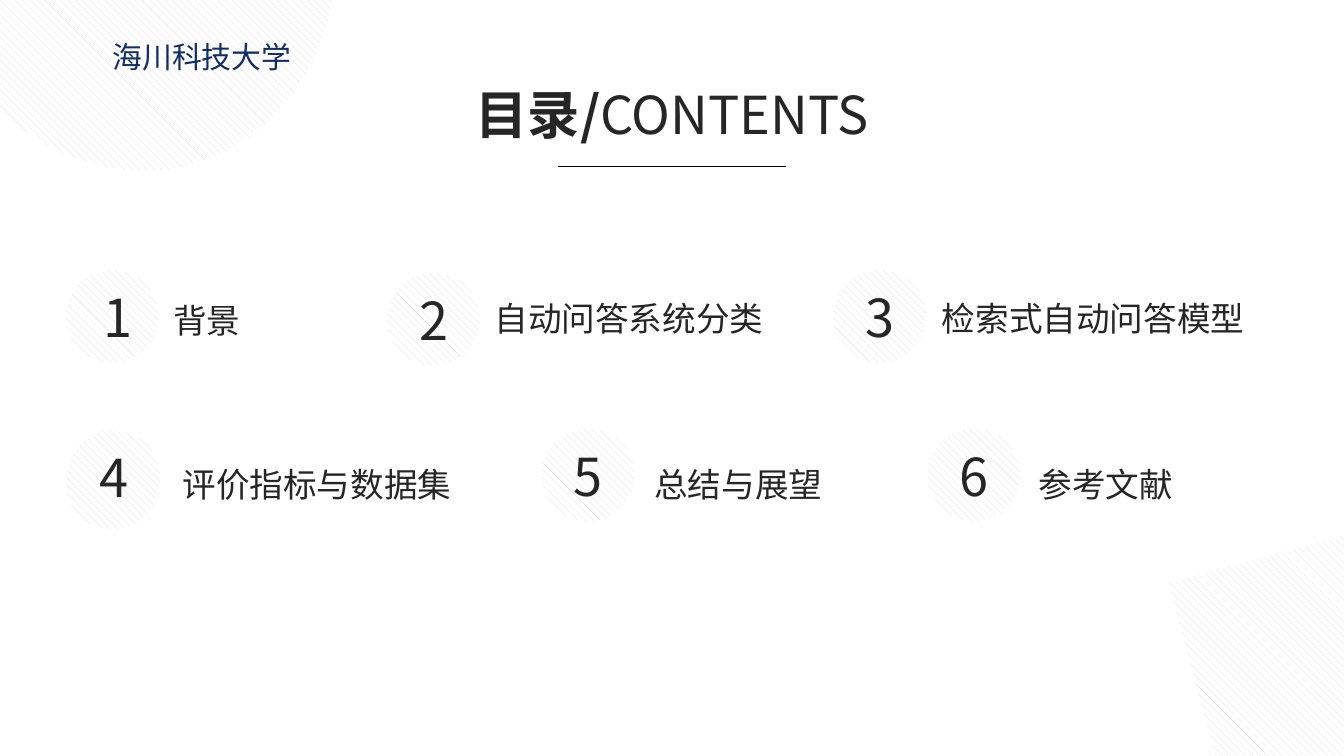
from dataclasses import dataclass

import pptx
import pptx.dml.color
import pptx.enum.dml
import pptx.enum.shapes
import pptx.enum.text
import pptx.oxml
import pptx.oxml.ns
import pptx.util

Pt = pptx.util.Pt
RGB = pptx.dml.color.RGBColor.from_string
SHAPE = pptx.enum.shapes.MSO_SHAPE
ALIGN = pptx.enum.text.PP_ALIGN


@dataclass(frozen=True)
class Theme:
    font: str = "Noto Sans CJK SC"
    ink: str = "262626"
    school: str = "132E65"
    rule: str = "000000"
    hatch: str = "DDDDDD"
    paper: str = "FFFFFF"
    heading_size: float = 28
    label_size: float = 18
    school_size: float = 16


THEME = Theme()
BADGE = 49.7
NUMERAL_WIDTH = 32.4
NUMERAL_HEIGHT = 41
LABEL_HEIGHT = 28.8
INSETS = 14.4


def add_hatched(slide, preset, box, rotation=0):
    hatched = slide.shapes.add_shape(preset, *map(Pt, box))
    hatched.rotation = rotation
    hatched.shadow.inherit = False
    hatched.fill.patterned()
    hatched.fill.pattern = pptx.enum.dml.MSO_PATTERN.WIDE_DOWNWARD_DIAGONAL
    hatched.fill.fore_color.rgb = RGB(THEME.hatch)
    hatched.fill.back_color.rgb = RGB(THEME.paper)
    hatched.line.fill.background()


def add_text(slide, box, pieces, size, color=THEME.ink, align=ALIGN.LEFT, wrap=False):
    frame = slide.shapes.add_textbox(*map(Pt, box)).text_frame
    frame.word_wrap = wrap
    frame.auto_size = pptx.enum.text.MSO_AUTO_SIZE.SHAPE_TO_FIT_TEXT
    paragraph = frame.paragraphs[0]
    paragraph.alignment = align
    paragraph.font.size = Pt(size)
    paragraph.font.name = THEME.font
    paragraph.font.color.rgb = RGB(color)
    defaults = paragraph._p.pPr.find(pptx.oxml.ns.qn("a:defRPr"))
    east_asian = pptx.oxml.parse_xml(f'<a:ea {pptx.oxml.ns.nsdecls("a")} typeface="{THEME.font}"/>')
    defaults.find(pptx.oxml.ns.qn("a:latin")).addnext(east_asian)
    for wording, bold in pieces:
        run = paragraph.add_run()
        run.text = wording
        if bold:
            run.font.bold = True


def add_backdrop(slide, width, height):
    add_hatched(slide, SHAPE.RIGHT_TRIANGLE, (width - 82, height - 108.4, 257, 221.8), 75)
    add_hatched(slide, SHAPE.OVAL, (-59.8, -146.9, 257, 221.8), 75)


def add_header(slide, left, top, width):
    add_text(slide, (left, top, width, NUMERAL_HEIGHT), [("目录/", True), ("CONTENTS", False)],
             THEME.heading_size, align=ALIGN.CENTER, wrap=True)
    rule_width = 121.7
    rule_left = left + (width - rule_width) / 2
    rule_top = top + 49
    rule = slide.shapes.add_connector(
        pptx.enum.shapes.MSO_CONNECTOR.STRAIGHT,
        Pt(rule_left), Pt(rule_top), Pt(rule_left + rule_width), Pt(rule_top))
    rule.line.color.rgb = RGB(THEME.rule)
    rule.line.width = Pt(0.5)
    rule._element.spPr.append(
        pptx.oxml.parse_xml(f'<a:effectLst {pptx.oxml.ns.nsdecls("a")}/>'))


def add_school(slide, left, top, width, height):
    add_text(slide, (left, top, width, height), [("海川科技大学", False)],
             THEME.school_size, THEME.school, wrap=True)


def add_entry(slide, left, top, number, topic, topic_left, topic_top, nudge=0):
    add_hatched(slide, SHAPE.OVAL, (left, top, BADGE, BADGE))
    numeral_left = left + (BADGE - NUMERAL_WIDTH) / 2 + nudge
    add_text(slide, (numeral_left, top + 4.7, NUMERAL_WIDTH, NUMERAL_HEIGHT),
             [(str(number), False)], THEME.heading_size, align=ALIGN.CENTER)
    topic_width = len(topic) * THEME.label_size + INSETS
    add_text(slide, (topic_left, topic_top, topic_width, LABEL_HEIGHT),
             [(topic, False)], THEME.label_size)


def add_contents(slide):
    entries = [
        (35.3, 144.7, "背景", 85.7, 157, 3.3),
        (207.4, 146.2, "自动问答系统分类", 257.8, 156.2, 0),
        (446.4, 144.7, "检索式自动问答模型", 497.5, 156.2, 0),
        (36, 230.4, "评价指标与数据集", 90.7, 244.8, 0),
        (290.2, 229.7, "总结与展望", 343.4, 244.8, 0),
        (496.8, 229.7, "参考文献", 549.4, 244.8, 0),
    ]
    add_hatched(slide, SHAPE.OVAL, (35.3, 234, BADGE, BADGE))
    for number, (left, top, topic, topic_left, topic_top, nudge) in enumerate(entries, 1):
        add_entry(slide, left, top, number, topic, topic_left, topic_top, nudge)


def main():
    deck = pptx.Presentation()
    width, height = 720, 405
    deck.slide_width, deck.slide_height = Pt(width), Pt(height)
    slide = deck.slides.add_slide(deck.slide_layouts[6])
    add_backdrop(slide, width, height)
    add_header(slide, 244, 40.3, 232)
    add_contents(slide)
    add_school(slide, 53.3, 17.3, 113.8, 26.6)
    deck.save("out.pptx")


if __name__ == "__main__":
    main()
